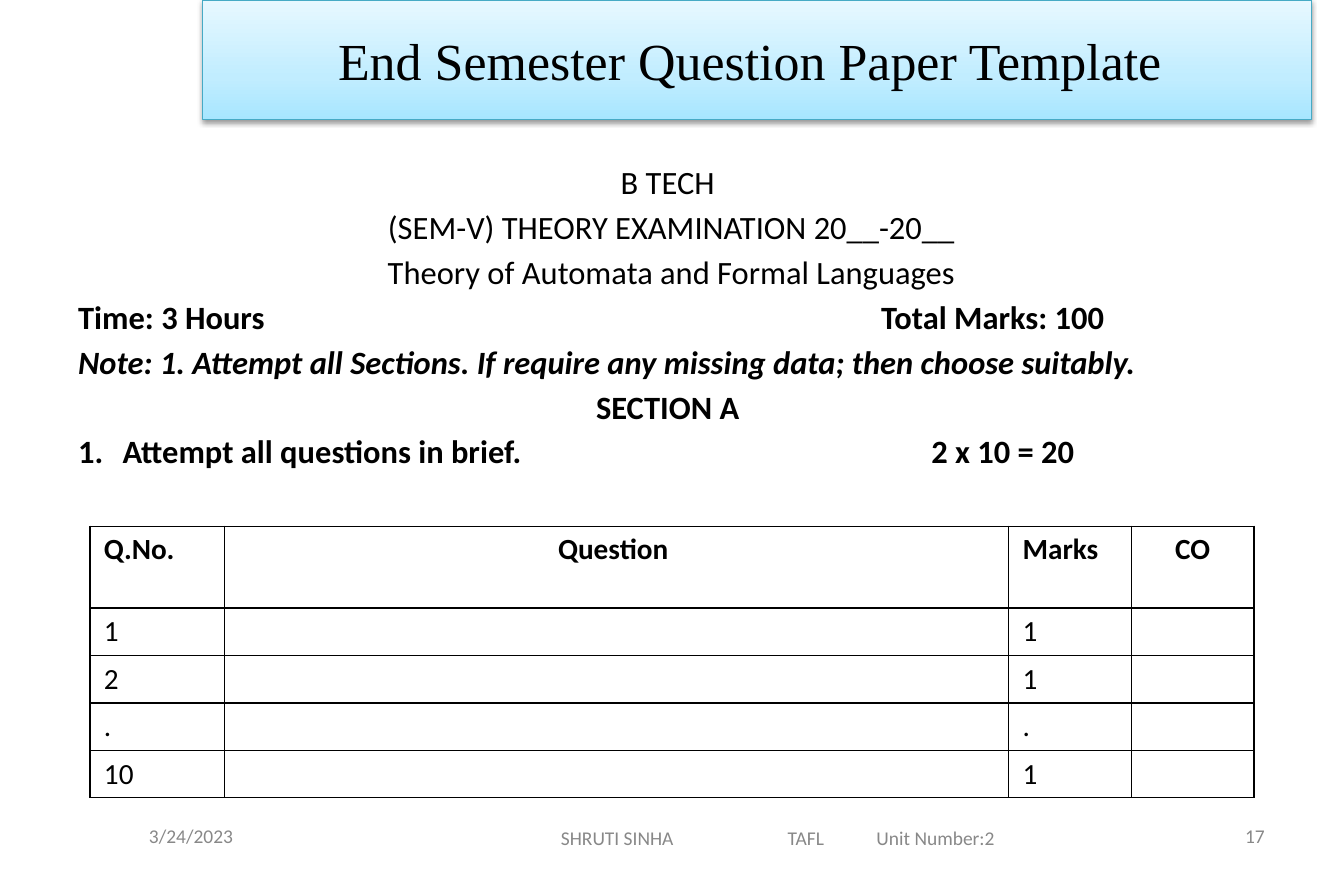
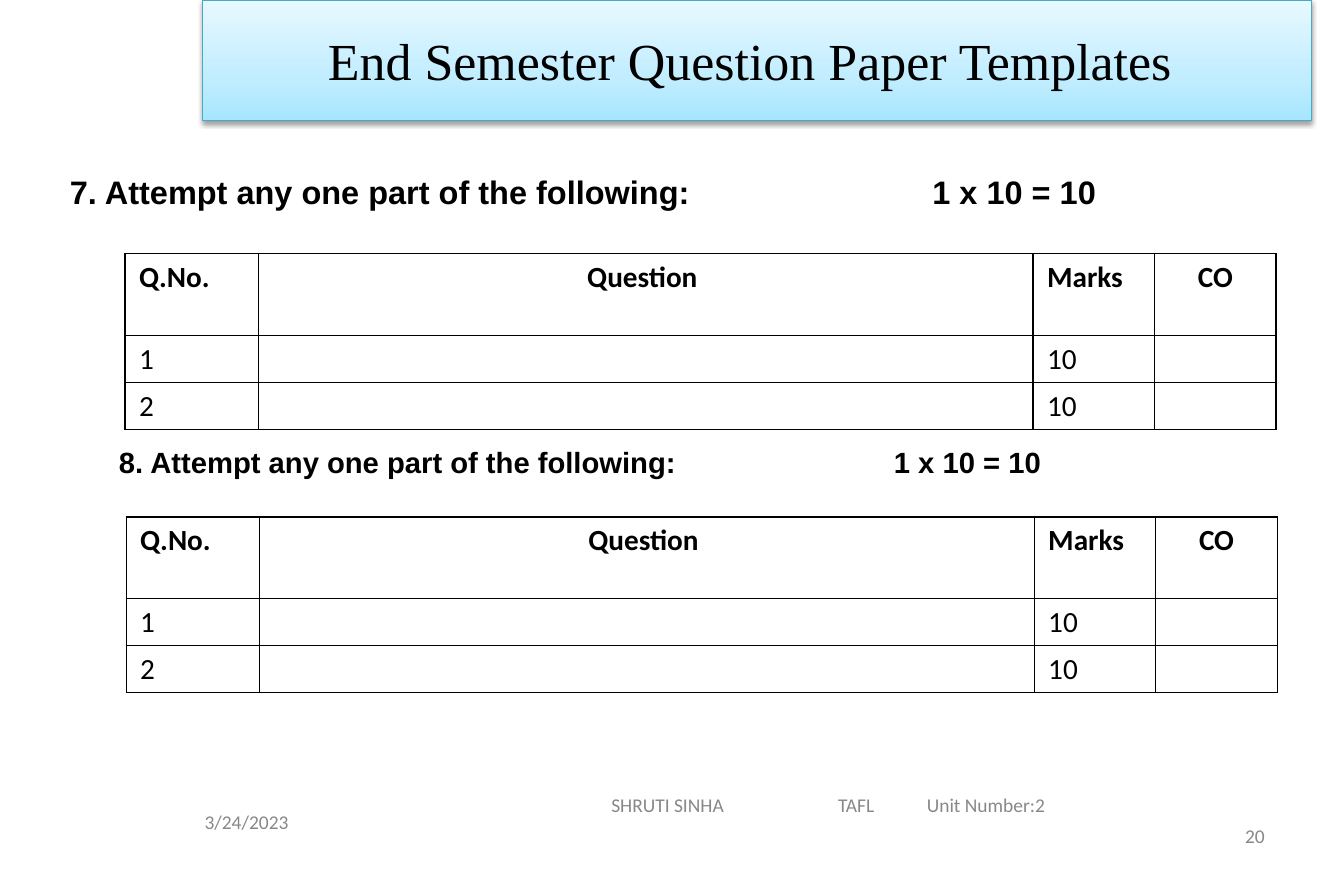
"""Build two slides of an end semester question paper template."""
from dataclasses import dataclass

from lxml.etree import SubElement as Sub
from pptx import Presentation
from pptx.dml.color import RGBColor as Rgb
from pptx.enum.shapes import MSO_SHAPE as Kind
from pptx.enum.text import MSO_ANCHOR as Anchor, PP_ALIGN as Align
from pptx.oxml.ns import qn
from pptx.slide import Slide
from pptx.text.text import TextFrame
from pptx.util import Inches, Pt

BLACK, WHITE, GREY, EDGE = "000000", "FFFFFF", "888888", "46AAC5"
STOPS = ((0, "A7E6FF"), (35, "C1EDFF"), (100, "E7F8FF"))
HEADS = ("Q.No.", "Question ", "Marks", "CO")
LEFT, MID, RIGHT, JUST = Align.LEFT, Align.CENTER, Align.RIGHT, Align.JUSTIFY
FOOT = "SHRUTI SINHA\tTAFL\tUnit Number:2"
DATE = "3/24/2023"
FOOT_WIDTH = 3.82


@dataclass(frozen=True)
class Box:
    x: float
    y: float
    w: float
    h: float

    def place(self) -> tuple:
        return tuple(Inches(n) for n in (self.x, self.y, self.w, self.h))


@dataclass(frozen=True)
class Grid:
    x: float
    y: float
    cols: tuple[float, ...]
    marks: tuple[tuple[str, str], ...]


@dataclass(frozen=True)
class Page:
    title: str
    band: float
    date: Box
    foot: Box
    num: str
    grids: tuple[Grid, ...]


def tint(code: str) -> Rgb:
    return Rgb.from_string(code)


def write(frame: TextFrame, text: str, *, size: float = 20, font: str = "Calibri",
          ink: str = BLACK, bold: bool = False, slant: bool = False,
          align: Align = LEFT, gap: float = 0, tabs: tuple[float, ...] = (),
          hang: float = 0) -> None:
    first = not frame.paragraphs[0].runs
    para = frame.paragraphs[0] if first else frame.add_paragraph()
    para.alignment = align
    props = para._p.get_or_add_pPr()
    if hang:
        props.set("marL", str(Inches(hang)))
        props.set("indent", str(-Inches(hang)))
        Sub(props, qn("a:buFont"), typeface="+mj-lt")
        Sub(props, qn("a:buAutoNum"), type="arabicPeriod")
    if tabs:
        stops = Sub(props, qn("a:tabLst"))
        for pos in tabs:
            Sub(stops, qn("a:tab"), pos=str(Inches(pos)), algn="l")
    if not first:
        para.space_before = Pt(gap)
    run = para.add_run()
    run.text = text
    face = run.font
    face.name, face.size, face.bold, face.italic = font, Pt(size), bold, slant
    face.color.rgb = tint(ink)


def add_box(slide: Slide, box: Box, anchor: Anchor = Anchor.TOP) -> TextFrame:
    frame = slide.shapes.add_textbox(*box.place()).text_frame
    frame.word_wrap = True
    frame.vertical_anchor = anchor
    return frame


def add_band(slide: Slide, title: str, height: float) -> None:
    band = slide.shapes.add_shape(Kind.RECTANGLE, *Box(1.73, 0, 9.49, height).place())
    band.fill.gradient()
    band.fill.gradient_angle = 90
    band.line.color.rgb = tint(EDGE)
    band.line.width = Pt(0.75)
    band.shadow.inherit = False
    props = band._element.spPr
    stops = props.find(".//" + qn("a:gsLst"))
    for old in list(stops):
        stops.remove(old)
    for pos, code in STOPS:
        stop = Sub(stops, qn("a:gs"), pos=str(pos * 1000))
        Sub(stop, qn("a:srgbClr"), val=code)
    shade = Sub(props.find(qn("a:effectLst")), qn("a:outerShdw"), blurRad=str(Pt(3.1)),
                dist=str(Pt(1.6)), dir="5400000", rotWithShape="0")
    Sub(Sub(shade, qn("a:srgbClr"), val=BLACK), qn("a:alpha"), val="38000")
    frame = band.text_frame
    frame.word_wrap = True
    frame.vertical_anchor = Anchor.MIDDLE
    write(frame, title, size=32, font="Times New Roman", align=MID)


def add_grid(slide: Slide, grid: Grid) -> None:
    highs = [0.7] + [0.4] * len(grid.marks)
    area = Box(grid.x, grid.y, sum(grid.cols), sum(highs))
    table = slide.shapes.add_table(len(highs), len(grid.cols), *area.place()).table
    for col, width in zip(table.columns, grid.cols):
        col.width = Inches(width)
    for row, high in zip(table.rows, highs):
        row.height = Inches(high)
    rows = [HEADS] + [(no, "", mark, "") for no, mark in grid.marks]
    for r, row in enumerate(rows):
        for c, text in enumerate(row):
            cell = table.cell(r, c)
            cell.margin_left = cell.margin_right = Inches(0.12)
            cell.margin_top = cell.margin_bottom = Inches(0.05)
            props = cell._tc.get_or_add_tcPr()
            for side in ("lnL", "lnR", "lnT", "lnB"):
                edge = Sub(props, qn("a:" + side), w=str(Pt(1)))
                Sub(Sub(edge, qn("a:solidFill")), qn("a:srgbClr"), val=BLACK)
            cell.fill.solid()
            cell.fill.fore_color.rgb = tint(WHITE)
            if text:
                write(cell.text_frame, text, size=18, bold=r == 0,
                      align=MID if c in (1, 3) else LEFT)


def add_page(deck: Presentation, page: Page) -> Slide:
    slide = deck.slides.add_slide(deck.slide_layouts[6])
    add_band(slide, page.title, page.band)
    for grid in page.grids:
        add_grid(slide, grid)
    foot = add_box(slide, page.foot, Anchor.MIDDLE)
    foot.margin_left = Inches(page.foot.w - FOOT_WIDTH)
    foot.margin_right = 0
    write(foot, FOOT, size=12, ink=GREY, tabs=(1.94, 2.7))
    for box, text, align in ((page.date, DATE, MID),
                             (Box(8.24, 6.95, 2.68, 0.4), page.num, RIGHT)):
        write(add_box(slide, box, Anchor.MIDDLE), text, size=12, ink=GREY, align=align)
    return slide


def main() -> None:
    deck = Presentation()
    deck.slide_width, deck.slide_height = Inches(11.5), Inches(7.5)

    ones = (("1", "1"), ("2", "1"), (".", "."), ("10", "1"))
    slide = add_page(deck, Page(
        "End Semester Question Paper Template ", 1.02, Box(0.77, 6.95, 1.73, 0.4),
        Box(2.95, 6.98, 5.67, 0.37), "17",
        (Grid(0.77, 4.5, (1.15, 6.71, 1.05, 1.05), ones),)))
    body = add_box(slide, Box(0.57, 1.34, 10.35, 5.2))
    for text, look in (
        ("B TECH ", dict(align=MID)),
        ("(SEM-V) THEORY EXAMINATION 20__-20__", dict(align=MID)),
        ("Theory of Automata and Formal Languages", dict(align=MID)),
        ("Time: 3 Hours\tTotal Marks: 100", dict(bold=True, tabs=(6.87,))),
        ("Note: 1. Attempt all Sections. If require any missing data; "
         "then choose suitably.", dict(bold=True, slant=True, align=JUST)),
        ("SECTION A ", dict(bold=True, align=MID)),
        ("Attempt all questions in brief.\t2 x 10 = 20",
         dict(bold=True, hang=0.38, tabs=(7.3,))),
    ):
        write(body, text, gap=3.6, **look)

    cols = (1.14, 6.63, 1.04, 1.04)
    tens = (("1", "10"), ("2", "10"))
    slide = add_page(deck, Page(
        "End Semester Question Paper Templates ", 1.03, Box(0.29, 6.83, 3.64, 0.4),
        Box(3.64, 6.67, 5.41, 0.42), "20",
        (Grid(1.07, 2.17, cols, tens), Grid(1.08, 4.42, cols, tens))))
    for no, box, size, tab in ((7, Box(0.5, 1.42, 10.35, 0.5), 20, 7.38),
                               (8, Box(0.92, 3.75, 10, 0.4), 18, 6.63)):
        write(add_box(slide, box), f"{no}. Attempt any one part of the following:\t1 x 10 = 10",
              size=size, font="Arial", bold=True, tabs=(tab,))

    deck.save("out.pptx")


if __name__ == "__main__":
    main()
